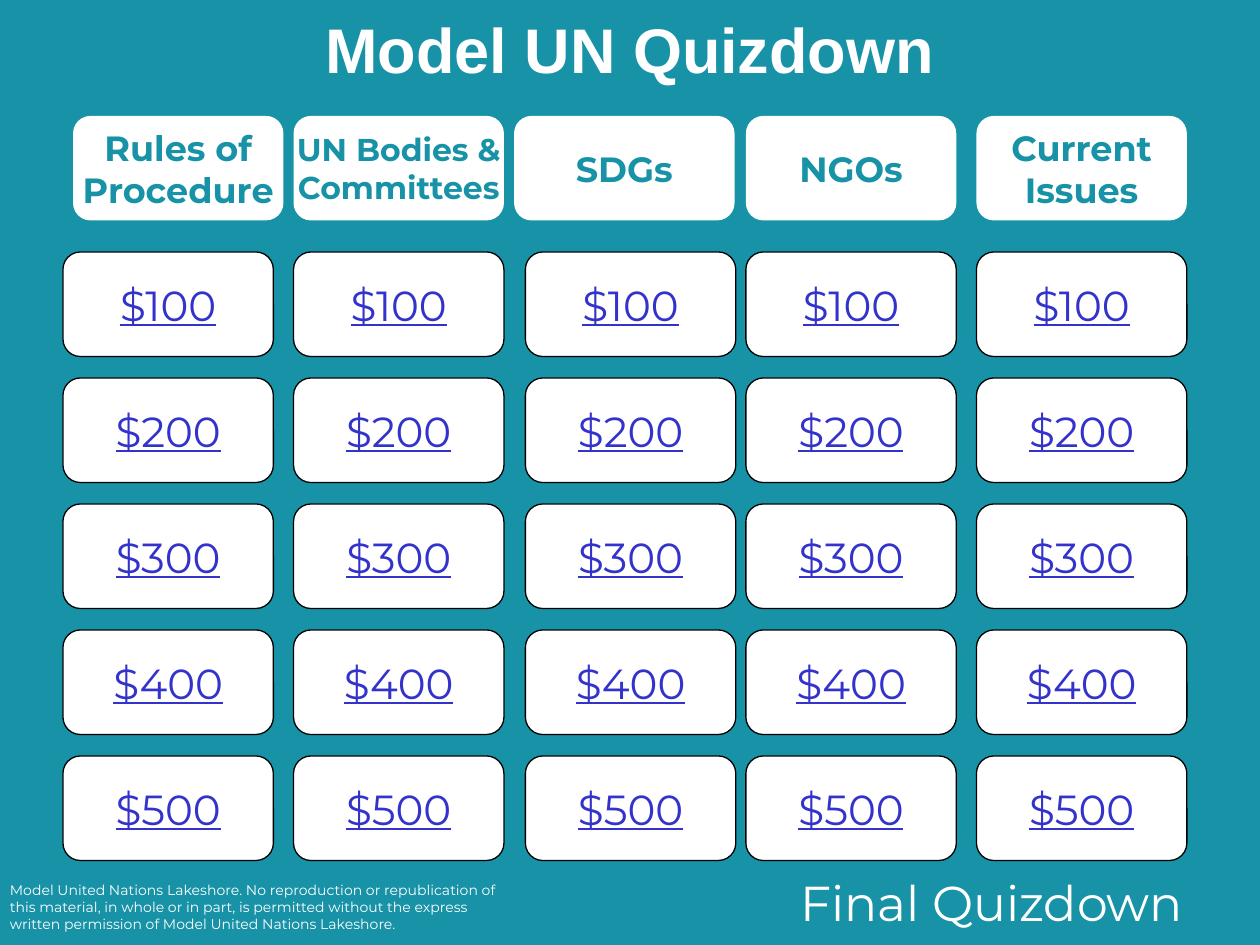
from pptx import Presentation
from pptx.dml.color import RGBColor
from pptx.enum import shapes, text
from pptx.util import Inches, Pt

TEAL = RGBColor(0x17, 0x92, 0xA7)
WHITE = RGBColor(0xFF, 0xFF, 0xFF)
BLACK = RGBColor(0, 0, 0)
BLUE = RGBColor(0x33, 0x33, 0xCC)
FONT = "Montserrat"
CARD_W, CARD_H = 1.67, 0.83
COLS = (0.5, 2.33, 4.17, 5.92, 7.75)
HEADS = (  # left, width, size, words
    (0.58, CARD_W, 20, "Rules of\nProcedure"),
    (2.33, CARD_W, 18, "UN Bodies &\nCommittees"),
    (4.08, 1.75, 20, "SDGs"),
    (5.92, CARD_W, 20, "NGOs"),
    (7.75, CARD_W, 20, "Current\nIssues"),
)


def write(shape, words, size, color, font=FONT, bold=False, line=False,
          align=text.PP_ALIGN.CENTER, anchor=text.MSO_ANCHOR.MIDDLE, wrap=True):
    frame = shape.text_frame
    frame.text = words
    frame.word_wrap = wrap
    frame.vertical_anchor = anchor
    for para in frame.paragraphs:
        para.alignment = align
        for run in para.runs:
            face = run.font
            face.name, face.size, face.bold = font, Pt(size), bold
            face.underline = line
            face.color.rgb = color


def label(slide, box, words, size, **style):
    shape = slide.shapes.add_textbox(*map(Inches, box))
    write(shape, words, size, WHITE, **style)
    return shape


def card(slide, box, words, size, color, edge=False, **style):
    shape = slide.shapes.add_shape(
        shapes.MSO_SHAPE.FLOWCHART_ALTERNATE_PROCESS, *map(Inches, box))
    shape.shadow.inherit = False
    shape.fill.solid()
    shape.fill.fore_color.rgb = WHITE
    if edge:
        shape.line.color.rgb = BLACK
        shape.line.width = Pt(0.75)
    else:
        shape.line.fill.background()
    write(shape, words, size, color, wrap=False, **style)


def header(slide, top):
    for left, width, size, words in HEADS:
        card(slide, (left, top, width, CARD_H), words, size, TEAL, bold=True)


def board(slide, top, step):
    for left in COLS:
        for row in range(5):
            box = (left, top + row * step, CARD_W, CARD_H)
            card(slide, box, f"${(row + 1) * 100}", 24, BLUE, edge=True, line=True)


def footer(slide):
    label(slide, (6.08, 6.89, 3.58, 0.53), "Final Quizdown", 28)
    note = label(
        slide, (-0.02, 6.95, 4.17, 0.51),
        "Model United Nations Lakeshore. No reproduction or republication of "
        "this material, in whole or in part, is permitted without the express "
        "written permission of Model United Nations Lakeshore.",
        8, align=text.PP_ALIGN.LEFT, anchor=text.MSO_ANCHOR.TOP)
    note.text_frame.auto_size = text.MSO_AUTO_SIZE.SHAPE_TO_FIT_TEXT


deck = Presentation()
deck.slide_width, deck.slide_height = Inches(10), Inches(7.5)
slide = deck.slides.add_slide(deck.slide_layouts[6])
slide.background.fill.solid()
slide.background.fill.fore_color.rgb = TEAL

# Title, category row, money grid, footer
label(slide, (0.5, 0.12, 9, 0.53), "Model UN Quizdown", 36, font="Arial", bold=True)
header(slide, 0.92)
board(slide, 2, 1)
footer(slide)

deck.save("out.pptx")
